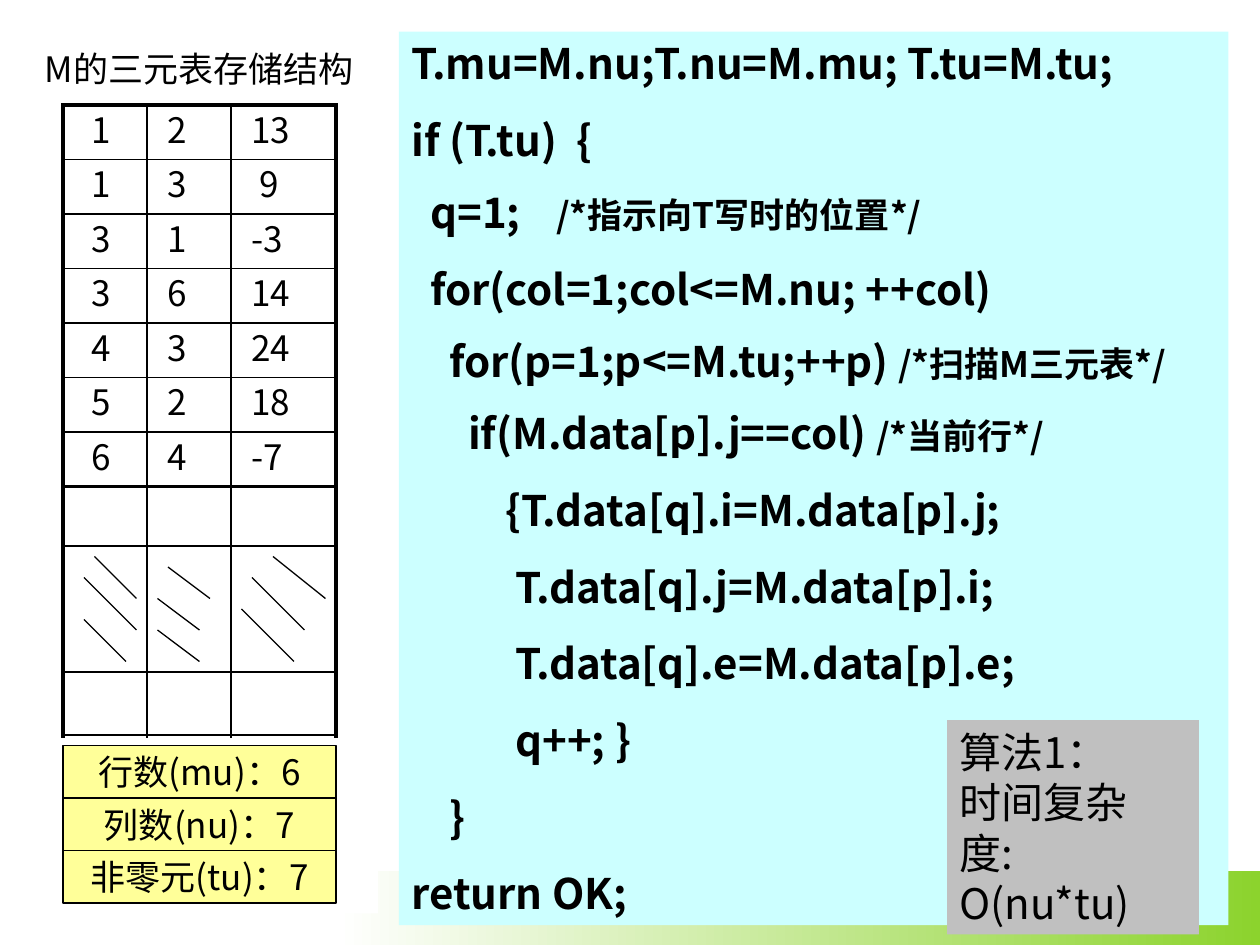
import pptx
import pptx.util
import pptx.dml.color
import pptx.enum.shapes
import pptx.enum.text
import pptx.oxml.ns
import lxml.etree

FONT = "Noto Sans CJK SC"
LEFT, CENTER = pptx.enum.text.PP_ALIGN.LEFT, pptx.enum.text.PP_ALIGN.CENTER
TOP, MIDDLE = pptx.enum.text.MSO_ANCHOR.TOP, pptx.enum.text.MSO_ANCHOR.MIDDLE
RECTANGLE = pptx.enum.shapes.MSO_SHAPE.RECTANGLE
STRAIGHT = pptx.enum.shapes.MSO_CONNECTOR.STRAIGHT

deck = pptx.Presentation()
deck.slide_width = pptx.util.Inches(10)
deck.slide_height = pptx.util.Inches(7.5)
page = deck.slides.add_slide(deck.slide_layouts[6])
unit = deck.slide_width // 120


def color(value):
    return pptx.dml.color.RGBColor.from_string(value)


def write(para, pieces, bold=False, **formats):
    largest = max(size for _, size in pieces)
    formats["line_spacing"] = pptx.util.Pt(largest * 1.2)
    for name, value in formats.items():
        setattr(para, name, value)
    for text, size in pieces:
        span = para.add_run()
        span.text = text
        values = {"name": FONT, "size": pptx.util.Pt(size), "bold": bold}
        for name, value in values.items():
            setattr(span.font, name, value)
        span.font.color.rgb = color("000000")
        asian = lxml.etree.SubElement(span.font._element, pptx.oxml.ns.qn("a:ea"))
        asian.set("typeface", FONT)


boxes = {}
for name, area, fill, outline, anchor, wrap in [
    ("band", (32, 83, 88, 7), None, None, TOP, True),
    ("panel", (2, 4, 34, 83), "FFFFFF", None, TOP, True),
    ("rows", (6, 71, 26, 5), "FFFF99", "000000", MIDDLE, False),
    ("columns", (6, 76, 26, 5), "FFFF99", "000000", MIDDLE, False),
    ("nonzero", (6, 81, 26, 5), "FFFF99", "000000", MIDDLE, False),
    ("title", (5, 5, 28, 3), "FFFFFF", "FFFFFF", MIDDLE, False),
    ("code", (38, 3, 79, 85.1), "CCFFFF", None, TOP, True),
    ("cost", (90.2, 68.6, 24, 20.4), "C0C0C0", None, TOP, True),
]:
    box = page.shapes.add_shape(RECTANGLE, *[round(side * unit) for side in area])
    box.shadow.inherit = False
    if fill:
        box.fill.solid()
        box.fill.fore_color.rgb = color(fill)
    else:
        box.fill.gradient()
        box.fill.gradient_angle = 0
        for stop, shade in zip(box.fill.gradient_stops, ("FFFFFF", "8CD32D")):
            stop.color.rgb = color(shade)
    if outline:
        box.line.color.rgb = color(outline)
        box.line.width = pptx.util.Pt(0.75)
    else:
        box.line.fill.background()
    box.text_frame.vertical_anchor = anchor
    box.text_frame.word_wrap = wrap
    boxes[name] = box.text_frame

for name, text in {
    "rows": "行数(mu)：6",
    "columns": "列数(nu)：7",
    "nonzero": "非零元(tu)：7",
    "title": "M的三元表存储结构",
}.items():
    write(boxes[name].paragraphs[0], [(text, 20)], alignment=CENTER)

for index, (spaces, statement, comment) in enumerate([
    (0, "T.mu=M.nu;T.nu=M.mu; T.tu=M.tu;", ""),
    (0, "if (T.tu)  {", ""),
    (2, "q=1;\t", "/*指示向T写时的位置*/"),
    (2, "for(col=1;col<=M.nu; ++col)", ""),
    (4, "for(p=1;p<=M.tu;++p) ", "/*扫描M三元表*/"),
    (6, "if(M.data[p].j==col) ", "/*当前行*/"),
    (10, "{T.data[q].i=M.data[p].j;", ""),
    (11, "T.data[q].j=M.data[p].i;", ""),
    (11, "T.data[q].e=M.data[p].e;", ""),
    (11, "q++; }", ""),
    (4, "}", ""),
    (0, "return OK;", ""),
]):
    para = boxes["code"].add_paragraph() if index else boxes["code"].paragraphs[0]
    pieces = [(statement, 24)] + ([(comment, 20)] if comment else [])
    before = pptx.util.Pt(12.5 if comment else 15)
    write(para, pieces, bold=True, alignment=LEFT, space_before=before)
    settings = para._p.get_or_add_pPr()
    settings.set("marL", str(round(spaces * 0.9 * unit)))
    settings.set("indent", "0")
    if "\t" in statement:
        stops = lxml.etree.SubElement(settings, pptx.oxml.ns.qn("a:tabLst"))
        stop = lxml.etree.SubElement(stops, pptx.oxml.ns.qn("a:tab"))
        stop.set("pos", str(round(14.9 * unit)))
        stop.set("algn", "l")

for index, text in enumerate(["算法1：", "时间复杂", "度:", "O(nu*tu)"]):
    para = boxes["cost"].add_paragraph() if index else boxes["cost"].paragraphs[0]
    write(para, [(text, 24)], alignment=LEFT)

edges = [6, 14, 22, 32]
for start_x, start_y, end_x, end_y, weight in [
    *[(x, 45, x, 70.3, 2.25 if x in (6, 32) else 1) for x in edges],
    *[(6, y, 32, y, 0.75) for y in (52, 64, 70)],
    (9, 53, 13, 57, 0.75), (8, 55, 13, 60, 0.75), (8, 59, 12, 63, 0.75),
    (16, 54, 20, 57, 0.75), (15, 57, 19, 60, 0.75), (15, 60, 19, 63, 0.75),
    (26, 53, 31, 57, 0.75), (24, 55, 29, 60, 0.75), (23, 58, 28, 63, 0.75),
]:
    ends = [round(place * unit) for place in (start_x, start_y, end_x, end_y)]
    line = page.shapes.add_connector(STRAIGHT, *ends)
    line.line.color.rgb = color("000000")
    line.line.width = pptx.util.Pt(weight)
    lxml.etree.SubElement(line._element.spPr, pptx.oxml.ns.qn("a:effectLst"))

triples = [(1, 2, 13), (1, 3, 9), (3, 1, -3), (3, 6, 14), (4, 3, 24), (5, 2, 18), (6, 4, -7)]
row_height = round(5.19 * unit)
frame = page.shapes.add_table(7, 3, 6 * unit, 10 * unit, 26 * unit, 7 * row_height)
table = frame.table
table.first_row = table.horz_banding = False
for column, (left, right) in zip(table.columns, zip(edges, edges[1:])):
    column.width = (right - left) * unit
for row, triple in enumerate(triples):
    table.rows[row].height = row_height
    for column, value in enumerate(triple):
        cell = table.cell(row, column)
        inset = 2.7 if column == 0 or value == 9 else 1.95
        for name, setting in {
            "margin_left": round(inset * unit),
            "margin_right": 0,
            "margin_top": unit // 2,
            "margin_bottom": unit // 2,
            "vertical_anchor": MIDDLE,
        }.items():
            setattr(cell, name, setting)
        cell.fill.background()
        write(cell.text_frame.paragraphs[0], [(str(value), 20)], alignment=LEFT)
        borders = {"lnL": column == 0, "lnR": column == 2, "lnT": row == 0, "lnB": row == 6}
        for place, (tag, outer) in enumerate(borders.items()):
            border = lxml.etree.Element(pptx.oxml.ns.qn("a:" + tag))
            border.set("w", str(pptx.util.Pt(2.25 if outer else 1)))
            solid = lxml.etree.SubElement(border, pptx.oxml.ns.qn("a:solidFill"))
            shade = lxml.etree.SubElement(solid, pptx.oxml.ns.qn("a:srgbClr"))
            shade.set("val", "000000")
            cell._tc.get_or_add_tcPr().insert(place, border)

deck.save("out.pptx")
